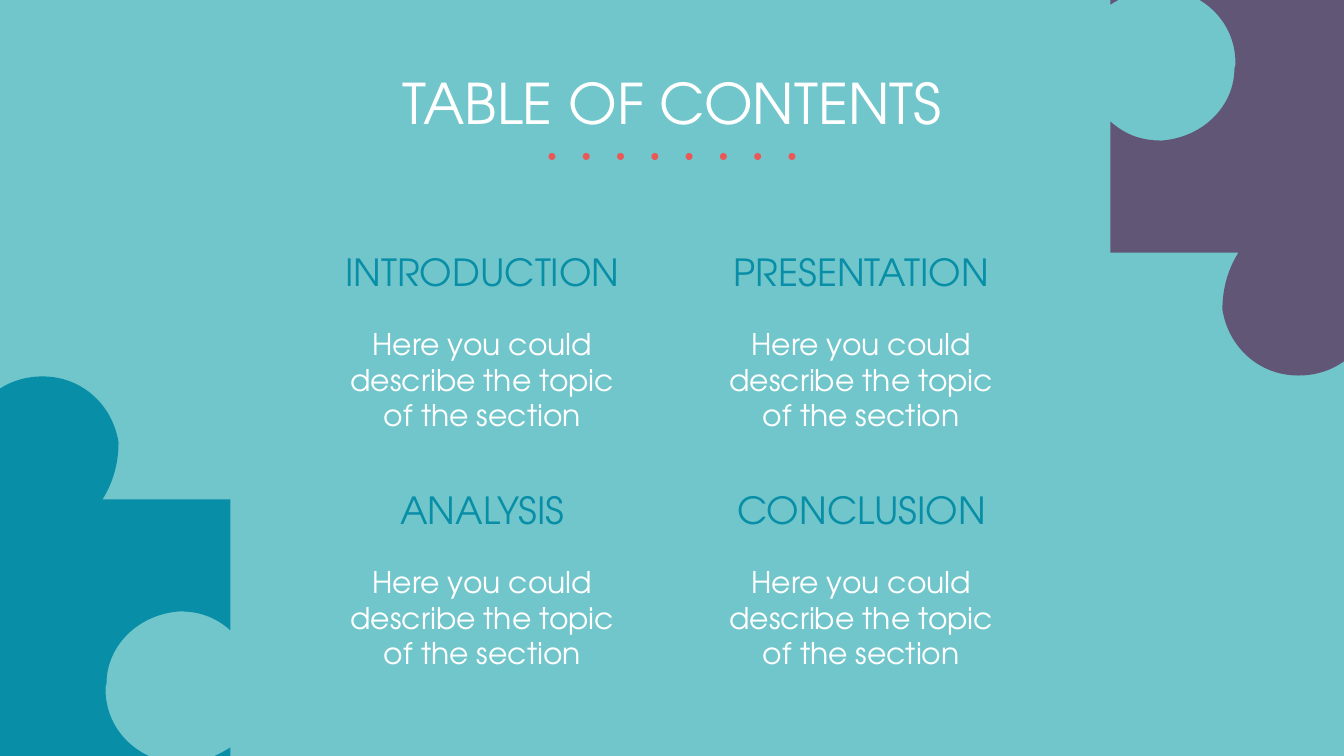
from lxml.etree import SubElement
from pptx import Presentation
from pptx.dml.color import RGBColor
from pptx.enum.shapes import MSO_SHAPE as SHAPE
from pptx.enum.text import MSO_ANCHOR as ANCHOR, PP_ALIGN as ALIGN
from pptx.oxml.ns import qn
from pptx.util import Pt

FONT = "TeX Gyre Adventor"
COLORS = {"bg": "71C6CB", "purple": "625676", "teal": "088EA7",
          "coral": "EB5858", "white": "FFFFFF"}
EMU_PER_PX = 914400 / 134.4

# Two numbers draw a line to that point, six draw a cubic curve.
PUZZLE_START = (501, 0)
PUZZLE_STEPS = [
    (501, 331), (501, 356, 479, 376, 454, 376), (123, 376), (123, 249),
    (109, 259, 92, 265, 76, 265), (36, 265, 0, 234, 0, 188),
    (0, 149, 28, 118, 66, 112), (88, 112, 107, 118, 123, 128),
    (123, 0), (254, 0),
    (240, 16, 235, 32, 235, 51), (238, 93, 270, 124, 307, 124),
    (309, 125, 311, 125, 313, 125), (355, 125, 387, 90, 387, 48),
    (387, 32, 381, 16, 371, 0),
]
SECTIONS = ["INTRODUCTION", "PRESENTATION", "ANALYSIS", "CONCLUSION"]
DESCRIPTION = "Here you could describe the topic of the section"


def px(n):
    return round(n * EMU_PER_PX)


def rgb(name):
    return RGBColor.from_string(COLORS[name])


def paint(sp, color):
    sp.shadow.inherit = False
    sp.fill.solid()
    sp.fill.fore_color.rgb = rgb(color)
    sp.line.fill.background()


def bend_curves(sp, steps):
    """Turn the lines that stand for curves into cubic curves."""
    for line, step in zip(list(sp.element.iter(qn("a:lnTo"))), steps):
        if len(step) == 6:
            line.clear()
            curve = SubElement(line.getparent(), qn("a:cubicBezTo"))
            for x, y in zip(step[::2], step[1::2]):
                SubElement(curve, qn("a:pt"), x=str(px(x)), y=str(px(y)))
            line.getparent().replace(line, curve)


def add_puzzle_piece(s, left, top, color, rotation):
    builder = s.shapes.build_freeform(*map(px, PUZZLE_START))
    builder.add_line_segments([tuple(map(px, step[-2:])) for step in PUZZLE_STEPS])
    sp = builder.convert_to_shape(px(left), px(top))
    bend_curves(sp, PUZZLE_STEPS)
    sp.rotation = rotation
    paint(sp, color)


def add_text(s, left, top, width, height, text, size, color, anchor=ANCHOR.TOP):
    tf = s.shapes.add_textbox(px(left), px(top), px(width), px(height)).text_frame
    tf.word_wrap = True
    tf.vertical_anchor = anchor
    tf.margin_left = tf.margin_right = tf.margin_top = tf.margin_bottom = px(13)
    p = tf.paragraphs[0]
    p.text = text
    p.alignment = ALIGN.CENTER
    font = p.runs[0].font
    font.name, font.size, font.color.rgb = FONT, Pt(size), rgb(color)


def add_dots(s, left, top, width, size, count):
    group = s.shapes.add_group_shape()
    gap = (width - size) / (count - 1)
    for i in range(count):
        dot = group.shapes.add_shape(SHAPE.OVAL, px(left + i * gap), px(top), px(size), px(size))
        paint(dot, "coral")


def add_header(s, left, top, width, height):
    add_text(s, left, top, width, height, "TABLE OF CONTENTS", 30, "white")
    dots_width = 247
    add_dots(s, left + (width - dots_width) / 2, top + 97, dots_width, 7, 8)


def add_section(s, left, top, width, title):
    add_text(s, left, top, width, 62, title, 20, "teal")
    add_text(s, left, top + 68, width, 142, DESCRIPTION, 16, "white", ANCHOR.BOTTOM)


def add_contents(s, left, top, column_step, row_step):
    for i, title in enumerate(SECTIONS):
        row, column = divmod(i, 2)
        add_section(s, left + column * column_step, top + row * row_step, 325, title)


def main():
    prs = Presentation()
    prs.slide_width, prs.slide_height = px(1344), px(756)
    s = prs.slides.add_slide(prs.slide_layouts[6])
    s.background.fill.solid()
    s.background.fill.fore_color.rgb = rgb("bg")
    add_puzzle_piece(s, 1048, -63, "purple", 270)
    add_puzzle_piece(s, -208, 439, "teal", 90)
    add_header(s, 289, 56, 766, 113)
    add_contents(s, 320, 236, 379, 238)
    prs.save("out.pptx")


if __name__ == "__main__":
    main()
